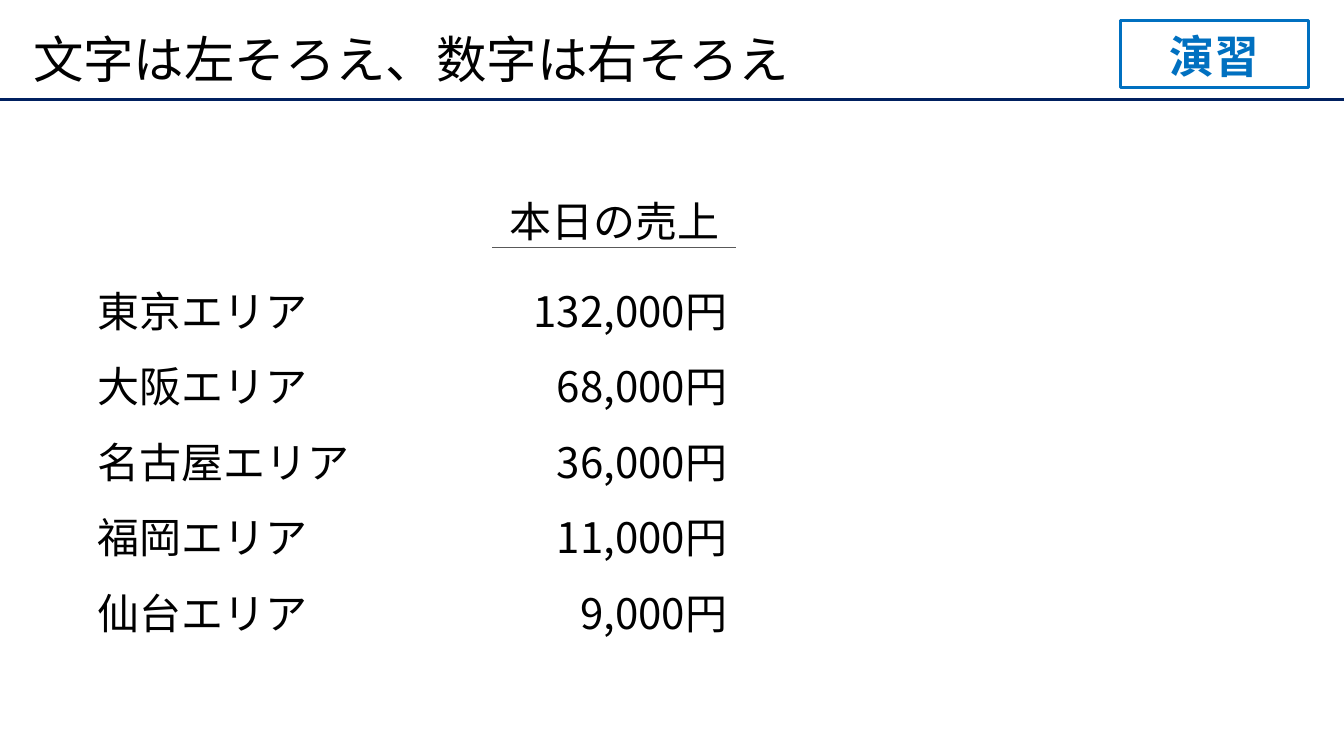
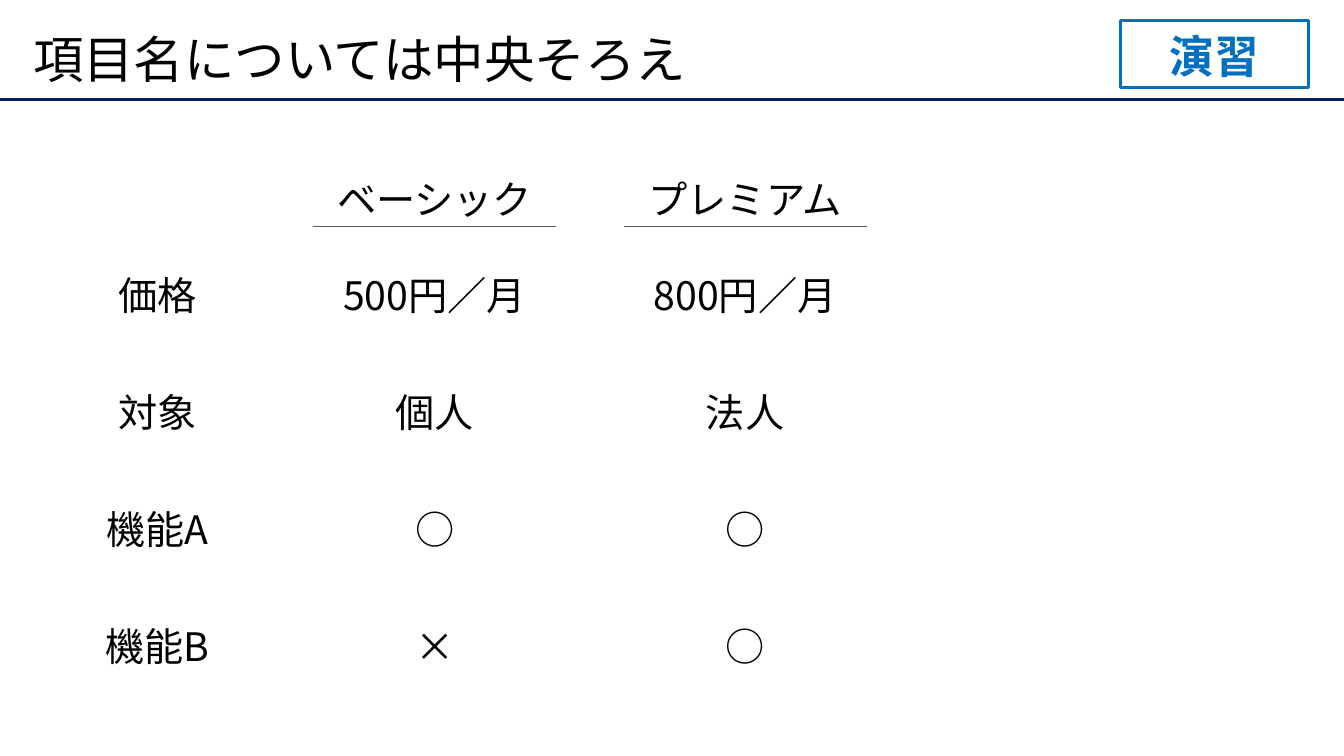
from dataclasses import dataclass

from lxml import etree
from pptx import Presentation
from pptx.dml.color import RGBColor
from pptx.enum import shapes, text
from pptx.oxml.ns import qn
from pptx.util import Inches, Pt

LEFT, CENTER, RIGHT = text.PP_ALIGN.LEFT, text.PP_ALIGN.CENTER, text.PP_ALIGN.RIGHT


@dataclass(frozen=True)
class Theme:
    font: str = "Noto Sans CJK JP"
    ink: str = "000000"
    band: str = "002060"
    accent: str = "0070C0"
    rule: str = "595959"
    title_size: float = 36
    badge_size: float = 32
    sales_size: float = 30
    plan_size: float = 28
    heavy: float = 2.25
    hairline: float = 0.5


@dataclass(frozen=True)
class Box:
    left: float
    top: float
    width: float
    height: float

    def emu(self) -> list[int]:
        return [Inches(v) for v in (self.left, self.top, self.width, self.height)]


@dataclass(frozen=True)
class Column:
    lines: tuple[str, ...]
    box: Box
    align: text.PP_ALIGN


THEME = Theme()
WIDTH, HEIGHT = 13.33, 7.5
BAND_Y = 0.99
TITLE = Box(0.23, 0.2, 12.6, 0.84)
BADGE = Box(11.11, 0.2, 1.87, 0.67)
HEADING_WIDTH, UNDERLINE_WIDTH, UNDERLINE_DROP = 2.68, 2.41, 0.56

SALES_HEADING = Box(4.75, 1.89, HEADING_WIDTH, 0.61)
SALES_COLUMNS = (
    Column(("東京エリア", "大阪エリア", "名古屋エリア", "福岡エリア", "仙台エリア"),
           Box(0.87, 2.53, 3.97, 3.81), LEFT),
    Column(("132,000円", "68,000円", "36,000円", "11,000円", "9,000円"),
           Box(4.94, 2.53, 2.37, 3.81), RIGHT),
)

PLANS = ("ベーシック", "プレミアム")
FEATURES = (
    ("価格", "500円／月", "800円／月"),
    ("対象", "個人", "法人"),
    ("機能A", "○", "○"),
    ("機能B", "×", "○"),
)
LABEL_LEFT, LABEL_WIDTH = 0.55, 2.02
PLAN_LEFT, PLAN_PITCH = 2.97, 3.08
PLAN_TOP, FEATURE_TOP, FEATURE_PITCH = 1.69, 2.64, 1.16
CELL_HEIGHT = 0.57


def write(frame, lines: tuple[str, ...], *, size: float, color: str = THEME.ink,
          bold: bool = False, align=LEFT, anchor=text.MSO_ANCHOR.TOP,
          spacing: float = 1.0) -> None:
    """Fill a text frame with one paragraph per line."""
    frame.word_wrap = True
    frame.vertical_anchor = anchor
    for index, line in enumerate(lines):
        paragraph = frame.add_paragraph() if index else frame.paragraphs[0]
        paragraph.alignment = align
        paragraph.line_spacing = spacing
        run = paragraph.add_run()
        run.text = line
        run.font.size = Pt(size)
        run.font.bold = bold
        run.font.color.rgb = RGBColor.from_string(color)
        run.font.name = THEME.font
        east_asian = etree.SubElement(run.font._element, qn("a:ea"))
        east_asian.set("typeface", THEME.font)


def add_text(slide, box: Box, *lines: str, **style) -> None:
    write(slide.shapes.add_textbox(*box.emu()).text_frame, lines, **style)


def add_rule(slide, left: float, y: float, width: float, color: str, weight: float) -> None:
    rule = slide.shapes.add_connector(
        shapes.MSO_CONNECTOR.STRAIGHT, Inches(left), Inches(y), Inches(left + width), Inches(y))
    rule.line.color.rgb = RGBColor.from_string(color)
    rule.line.width = Pt(weight)
    etree.SubElement(rule._element.spPr, qn("a:effectLst"))


def add_heading(slide, box: Box, label: str, size: float) -> None:
    """Column heading with a thin line centred beneath it."""
    add_text(slide, box, label, size=size, align=CENTER)
    add_rule(slide, box.left + (box.width - UNDERLINE_WIDTH) / 2, box.top + UNDERLINE_DROP,
             UNDERLINE_WIDTH, THEME.rule, THEME.hairline)


def add_exercise_slide(deck, title: str):
    """Blank slide with the shared band, title and exercise badge."""
    slide = deck.slides.add_slide(deck.slide_layouts[6])
    add_rule(slide, 0, BAND_Y, WIDTH, THEME.band, THEME.heavy)
    add_text(slide, TITLE, title, size=THEME.title_size,
             anchor=text.MSO_ANCHOR.MIDDLE, spacing=0.9)
    badge = slide.shapes.add_shape(shapes.MSO_SHAPE.RECTANGLE, *BADGE.emu())
    badge.shadow.inherit = False
    badge.fill.background()
    badge.line.color.rgb = RGBColor.from_string(THEME.accent)
    badge.line.width = Pt(THEME.heavy)
    write(badge.text_frame, ("演習",), size=THEME.badge_size, color=THEME.accent,
          bold=True, align=CENTER, anchor=text.MSO_ANCHOR.BOTTOM)
    return slide


def build_sales(deck) -> None:
    slide = add_exercise_slide(deck, "文字は左そろえ、数字は右そろえ")
    add_heading(slide, SALES_HEADING, "本日の売上", THEME.sales_size)
    for column in SALES_COLUMNS:
        add_text(slide, column.box, *column.lines, size=THEME.sales_size,
                 align=column.align, spacing=1.5)


def build_plans(deck) -> None:
    slide = add_exercise_slide(deck, "項目名については中央そろえ")
    plan_lefts = [PLAN_LEFT + i * PLAN_PITCH for i in range(len(PLANS))]
    for left, plan in zip(plan_lefts, PLANS):
        add_heading(slide, Box(left, PLAN_TOP, HEADING_WIDTH, CELL_HEIGHT), plan,
                    THEME.plan_size)
    spans = [(LABEL_LEFT, LABEL_WIDTH)] + [(left, HEADING_WIDTH) for left in plan_lefts]
    for row, feature in enumerate(FEATURES):
        top = FEATURE_TOP + row * FEATURE_PITCH
        for (left, width), value in zip(spans, feature):
            add_text(slide, Box(left, top, width, CELL_HEIGHT), value,
                     size=THEME.plan_size, align=CENTER)


def main() -> None:
    deck = Presentation()
    deck.slide_width, deck.slide_height = Inches(WIDTH), Inches(HEIGHT)
    build_sales(deck)
    build_plans(deck)
    deck.save("out.pptx")


if __name__ == "__main__":
    main()
